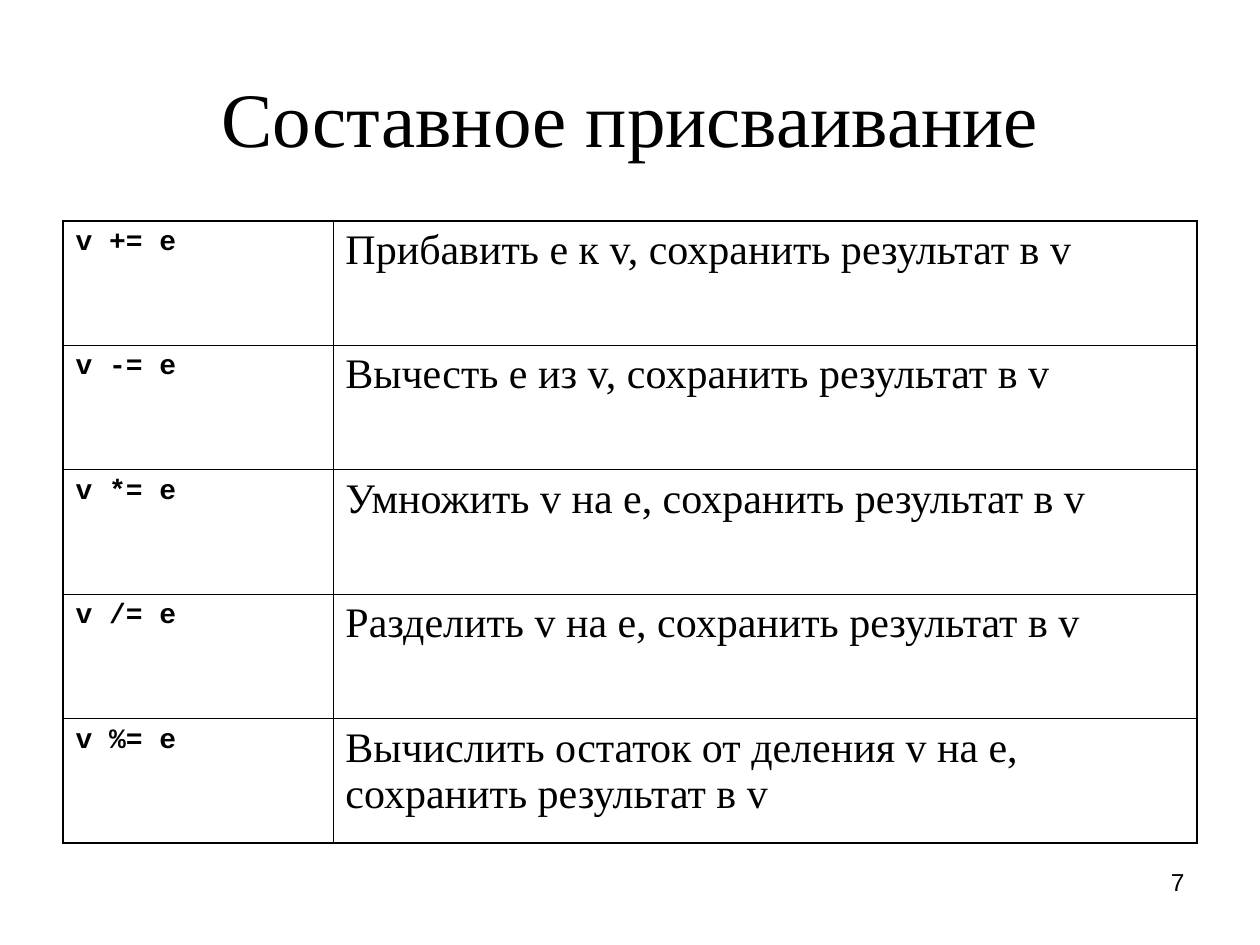
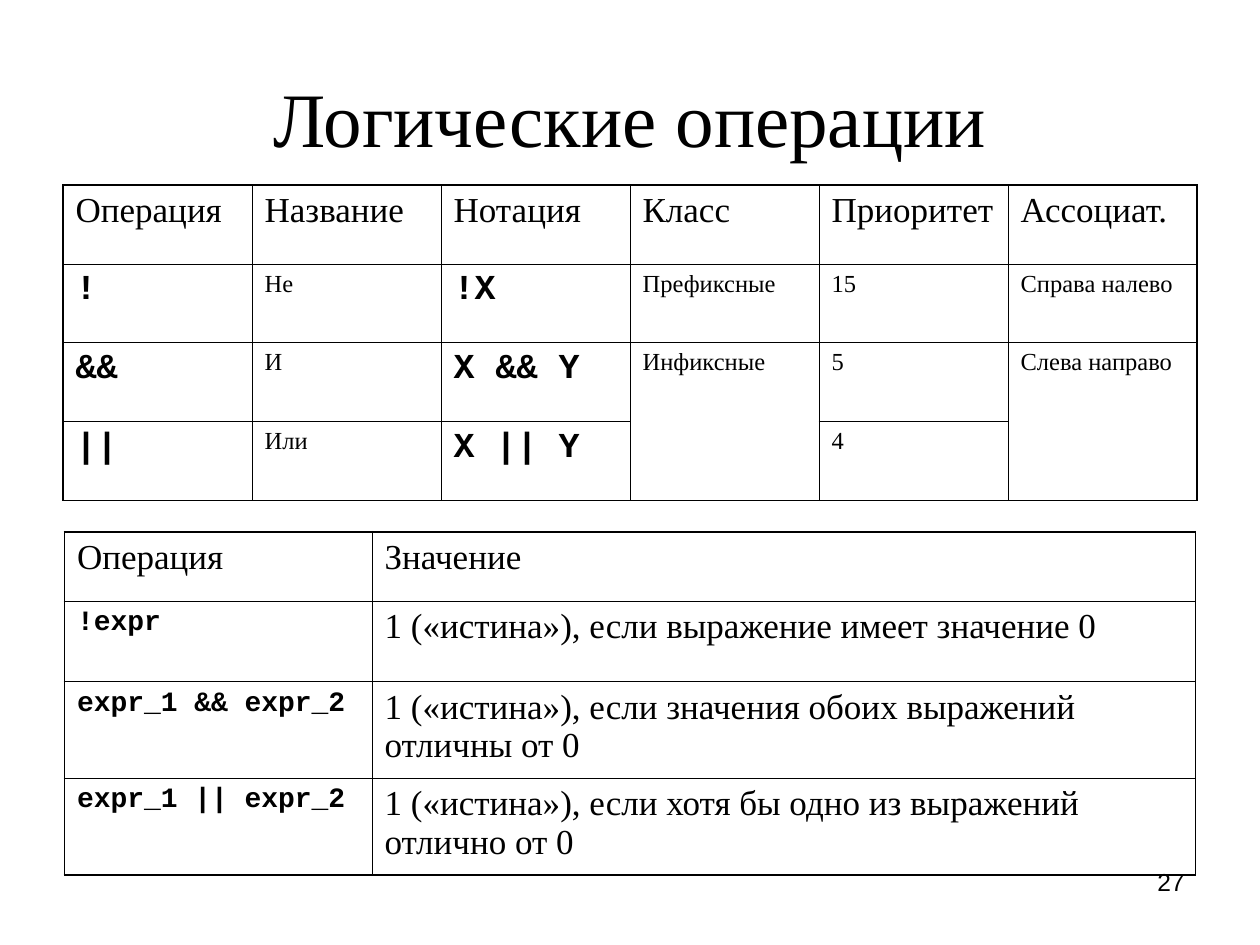
"""Build two slides of operator tables: compound assignment and logical operations."""
from lxml import etree
from pptx import Presentation
from pptx.dml.color import RGBColor
from pptx.enum import text
from pptx.oxml import ns
from pptx.util import Cm, Pt

BLACK = RGBColor(0, 0, 0)
SERIF, MONO, SANS = "Times New Roman", "Courier New", "Arial"
OUTER, INNER = Pt(1.08), Pt(0.45)
LEFT, WIDTH = Cm(1.27), Cm(22.86)

HEADER = (SERIF, 20, False)
SMALL = (SERIF, 14, False)
CODE = (MONO, 16, True)
BIG_CODE = (MONO, 20, True)

ASSIGNMENTS = [
    ("v += e", "Прибавить e к v, сохранить результат в v"),
    ("v -= e", "Вычесть e из v, сохранить результат в v"),
    ("v *= e", "Умножить v на е, сохранить результат в v"),
    ("v /= e", "Разделить v на е, сохранить результат в v"),
    ("v %= e", "Вычислить остаток от деления v на e, сохранить результат в v"),
]
OPERATIONS = [
    ("Операция", "Название", "Нотация", "Класс", "Приоритет", "Ассоциат."),
    ("!", "Не", "!X", "Префиксные", "15", "Справа налево"),
    ("&&", "И", "X && Y", "Инфиксные", "5", "Слева направо"),
    ("||", "Или", "X || Y", None, "4", None),
]
MEANINGS = [
    ("Операция", "Значение"),
    ("!expr", "1 («истина»), если выражение имеет значение 0"),
    ("expr_1 && expr_2", "1 («истина»), если значения обоих выражений отличны от 0"),
    ("expr_1 || expr_2", "1 («истина»), если хотя бы одно из выражений отлично от 0"),
]


def write(frame, words, style, align=text.PP_ALIGN.LEFT):
    """Put one styled paragraph into a text frame."""
    frame.text = words
    paragraph = frame.paragraphs[0]
    paragraph.alignment = align
    font = paragraph.runs[0].font
    font.name, size, font.bold = style
    font.size = Pt(size)
    font.color.rgb = BLACK


def add_titled_slide(deck, title, number):
    """Add a slide with its title and page number."""
    slide = deck.slides.add_slide(deck.slide_layouts[5])
    heading = slide.shapes.title
    heading.left, heading.top = LEFT, Cm(0.76)
    heading.width, heading.height = WIDTH, Cm(3.17)
    heading.text_frame.vertical_anchor = text.MSO_ANCHOR.MIDDLE
    write(heading.text_frame, title, (SERIF, 44, False), text.PP_ALIGN.CENTER)
    page = slide.shapes.add_textbox(Cm(18.21), Cm(17.35), Cm(5.92), Cm(1.32))
    page.text_frame.word_wrap = True
    write(page.text_frame, str(number), (SANS, 14, False), text.PP_ALIGN.RIGHT)
    return slide


def set_borders(cell, widths):
    """Draw the left, right, top and bottom borders of a cell."""
    properties = cell._tc.get_or_add_tcPr()
    for side, width in zip("LRTB", widths):
        line = etree.SubElement(properties, ns.qn(f"a:ln{side}"), w=str(int(width)))
        fill = etree.SubElement(line, ns.qn("a:solidFill"))
        etree.SubElement(fill, ns.qn("a:srgbClr"), val=str(BLACK))


def add_grid(slide, left, top, widths, heights, rows, styles, has_header=True):
    """Add a ruled table; a None entry continues the cell above it."""
    last_row, last_column = len(rows) - 1, len(widths) - 1
    table = slide.shapes.add_table(
        len(rows), len(widths), left, top, Cm(sum(widths)), Cm(sum(heights))).table
    table.first_row = table.horz_banding = False
    for column, width in zip(table.columns, widths):
        column.width = Cm(width)
    for row, height in zip(table.rows, heights):
        row.height = Cm(height)
    for r, entries in enumerate(rows):
        for c, entry in enumerate(entries):
            if entry is None:
                table.cell(r - 1, c).merge(table.cell(r, c))
    for r, entries in enumerate(rows):
        for c, entry in enumerate(entries):
            cell = table.cell(r, c)
            if entry is not None:
                bottom = r + (cell.span_height if cell.is_merge_origin else 1) - 1
                edges = (c == 0, c == last_column, r == 0, bottom == last_row)
                set_borders(cell, [OUTER if edge else INNER for edge in edges])
                style = HEADER if has_header and r == 0 else styles[c]
                write(cell.text_frame, entry, style)
            cell.fill.background()


def main():
    """Build and save the deck."""
    deck = Presentation()
    deck.slide_width, deck.slide_height = Cm(25.4), Cm(19.05)

    assignment = add_titled_slide(deck, "Составное присваивание", 7)
    add_grid(assignment, LEFT, Cm(4.45), [5.44, 17.42], [2.51] * 5,
             ASSIGNMENTS, [CODE, (SERIF, 24, False)], has_header=False)

    logic = add_titled_slide(deck, "Логические операции", 27)
    add_grid(logic, LEFT, Cm(3.73), [3.81] * 6, [1.59] * 4,
             OPERATIONS, [BIG_CODE, SMALL, BIG_CODE, SMALL, SMALL, SMALL])
    add_grid(logic, Cm(1.3), Cm(10.72), [6.2, 16.6], [1.4, 1.62, 1.95, 1.95],
             MEANINGS, [CODE, HEADER])

    deck.save("out.pptx")


if __name__ == "__main__":
    main()
